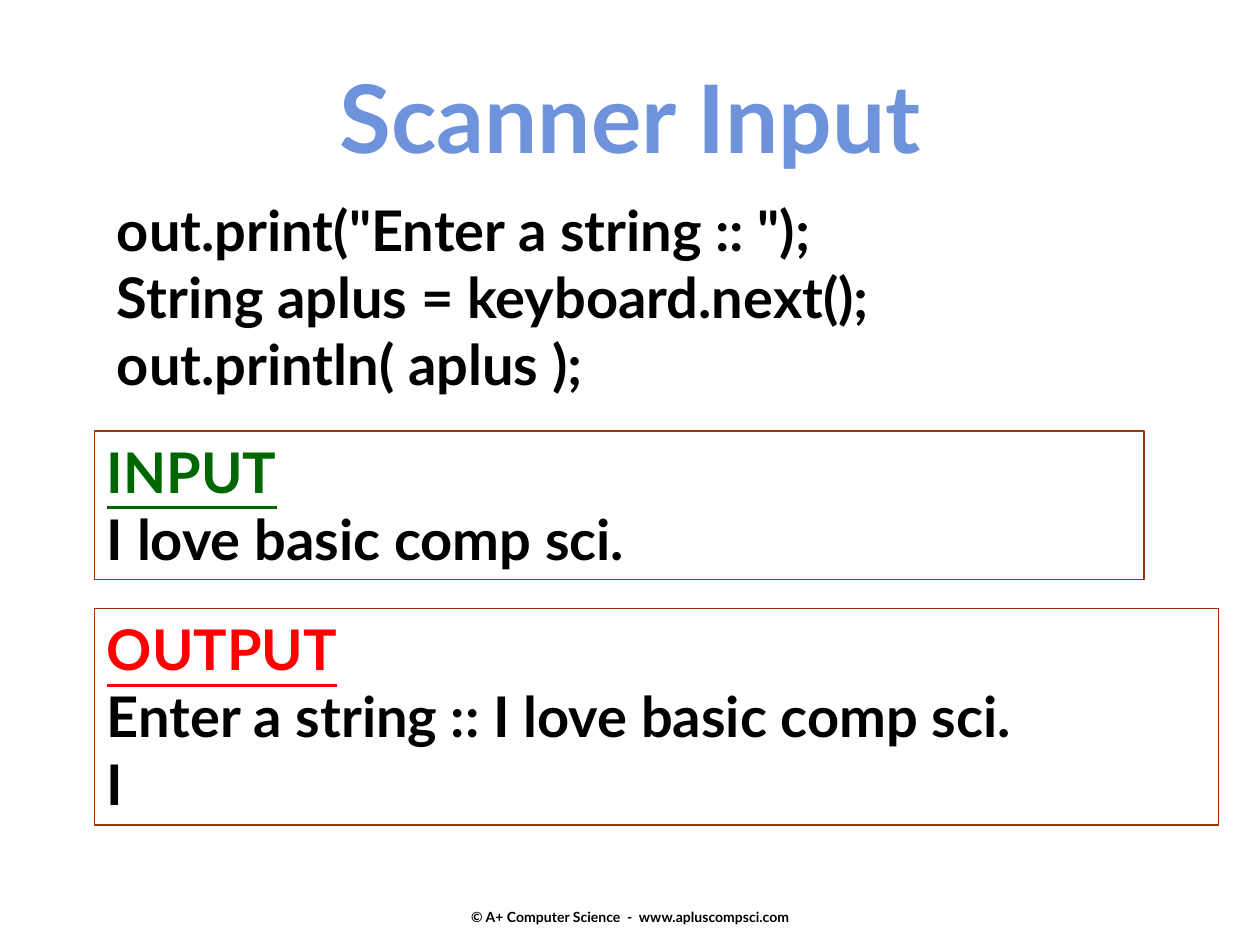
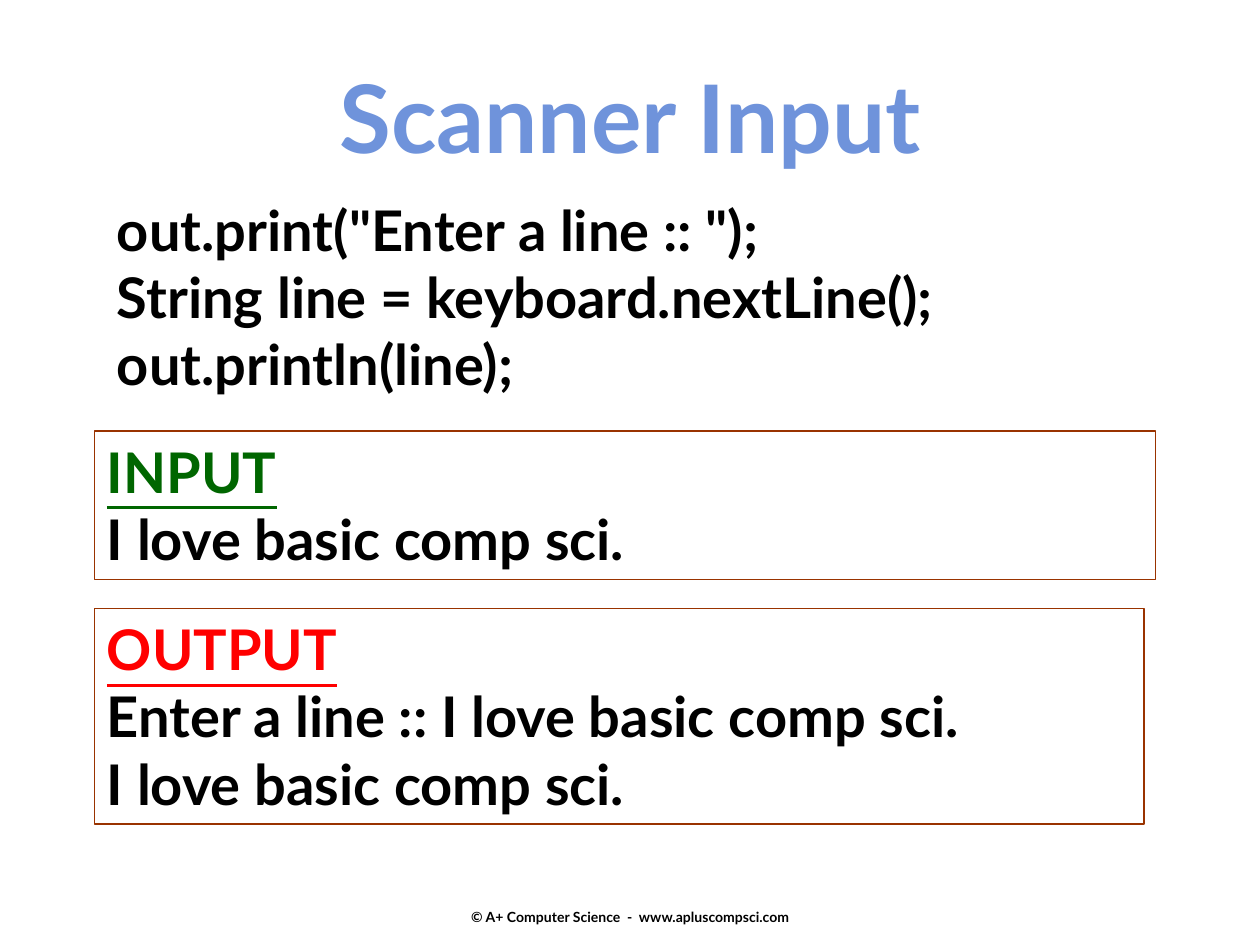
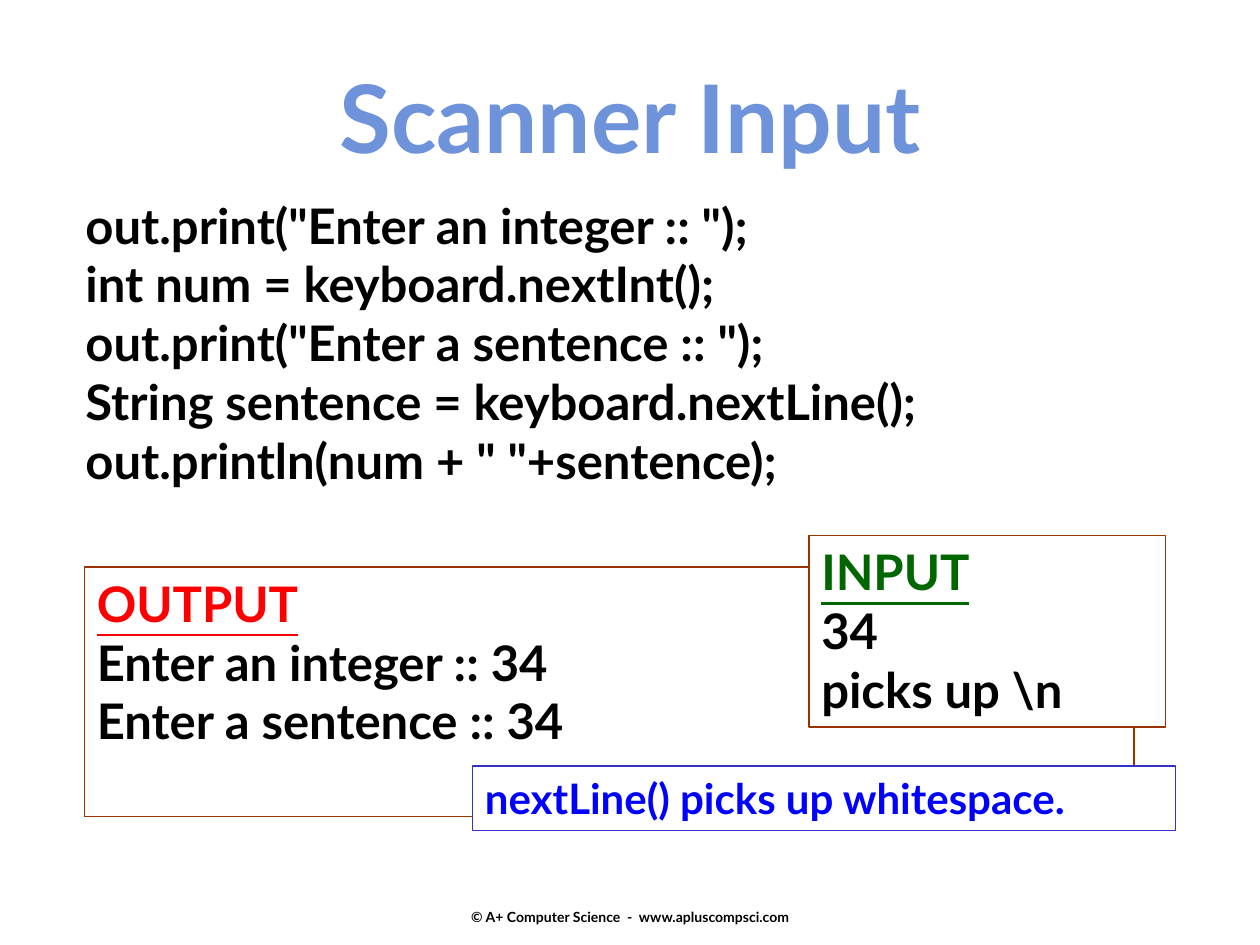
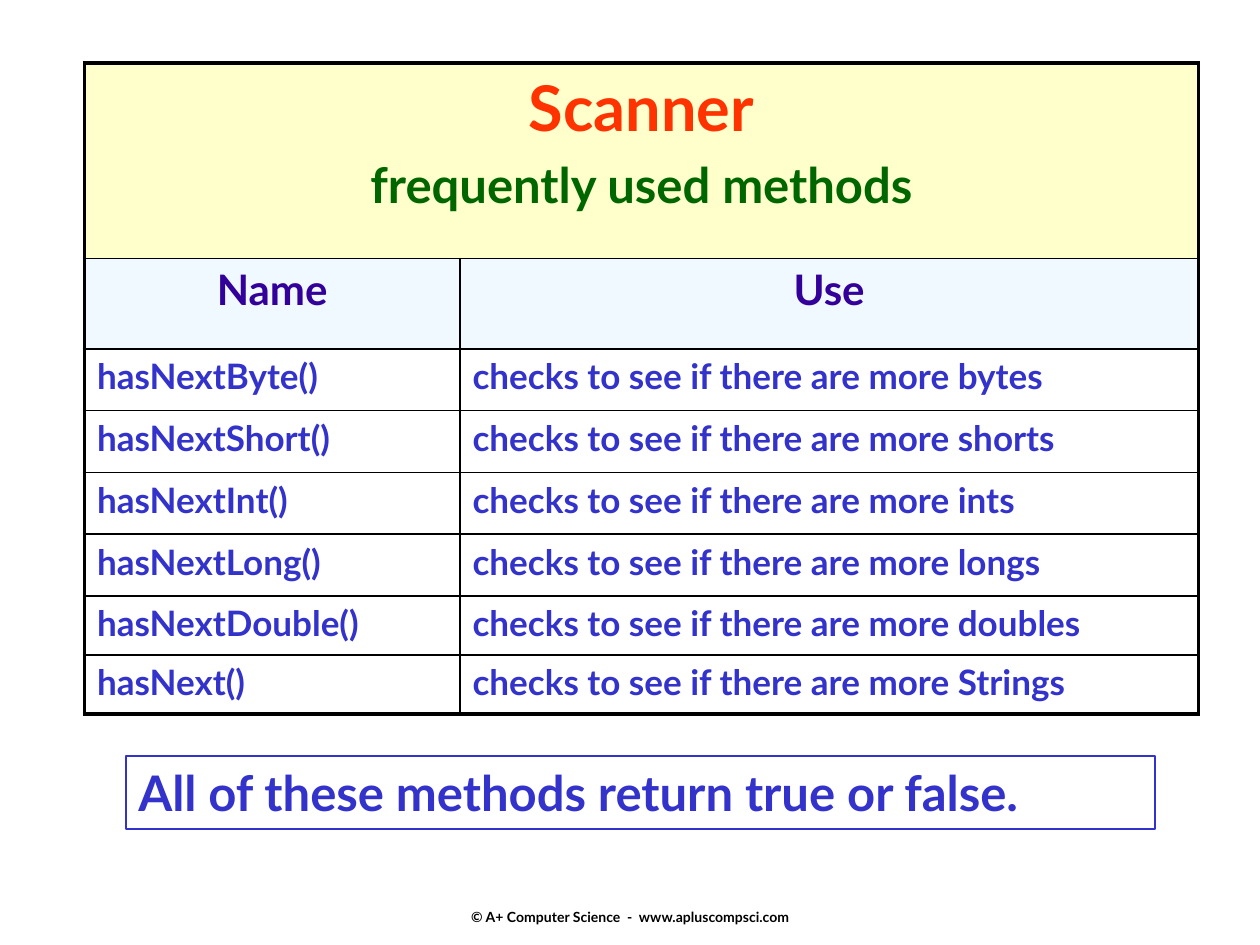
"""Builds four slides on reading input with Scanner."""
from lxml.etree import SubElement
from pptx import Presentation
from pptx.dml.color import RGBColor
from pptx.enum.shapes import MSO_SHAPE
from pptx.enum.text import MSO_ANCHOR, PP_ALIGN
from pptx.oxml.ns import qn
from pptx.util import Inches, Pt

FONT = "Lato"
BLACK, WHITE, BROWN, VIOLET = "000000", "FFFFFF", "993300", "3333CC"
RED, GREEN, BLUE, TITLE_BLUE = "FF0000", "006600", "0000FF", "6F93DB"
HEADING_COLOURS = {"INPUT": GREEN, "OUTPUT": RED}

TITLE = "Scanner Input"
FOOTER = "© A+ Computer Science  -  www.apluscompsci.com"

LESSONS = [
    {
        "size": 32,
        "code": ((0.83, 1.5, 8.58, 1.72), [
            'out.print("Enter a string :: ");',
            "String aplus = keyboard.next();",
            "out.println( aplus );",
        ]),
        "consoles": [
            ((0.75, 4.83, 8.92, 1.72), None,
             ["OUTPUT", "Enter a string :: I love basic comp sci.", "I"]),
            ((0.75, 3.42, 8.33, 1.18), None,
             ["INPUT", "I love basic comp sci."]),
        ],
    },
    {
        "size": 32,
        "code": ((0.83, 1.5, 8, 1.7), [
            'out.print("Enter a line :: ");',
            "String line = keyboard.nextLine();",
            "out.println(line);",
        ]),
        "consoles": [
            ((0.75, 4.83, 8.33, 1.71), None,
             ["OUTPUT", "Enter a line :: I love basic comp sci.",
              "I love basic comp sci."]),
            ((0.75, 3.42, 8.42, 1.18), None,
             ["INPUT", "I love basic comp sci."]),
        ],
    },
    {
        "size": 28,
        "code": ((0.58, 1.5, 9.25, 2.44), [
            'out.print("Enter an integer :: ");',
            "int num = keyboard.nextInt();",
            'out.print("Enter a sentence :: ");',
            "String sentence = keyboard.nextLine();",
            'out.println(num + " "+sentence);',
        ]),
        "consoles": [
            ((0.67, 4.5, 8.33, 1.98), None,
             ["OUTPUT", "Enter an integer :: 34", "Enter a sentence :: 34"]),
            ((6.42, 4.25, 2.83, 1.52), WHITE,
             ["INPUT", "34", "picks up \\n"]),
        ],
        "note": ((3.75, 6.08, 5.58, 0.51), "nextLine() picks up whitespace."),
    },
]

TABLE_HEADING = ["Scanner", "frequently used methods"]
COLUMN_NAMES = ["Name", "Use"]
METHODS = [
    ("hasNextByte()", "bytes"),
    ("hasNextShort()", "shorts"),
    ("hasNextInt()", "ints"),
    ("hasNextLong()", "longs"),
    ("hasNextDouble()", "doubles"),
    ("hasNext()", "Strings"),
]
USE = "checks to see if there are more {}"
COLUMN_WIDTHS = [2.98, 5.86]
ROW_HEIGHTS = [1.55, 0.72, 0.49, 0.49, 0.49, 0.49, 0.47, 0.47]
SUMMARY = "All of these methods return true or false."


def colour(code):
    return RGBColor.from_string(code)


def style(paragraph, size, code, underline=False, align=PP_ALIGN.LEFT):
    paragraph.alignment = align
    for run in paragraph.runs:
        run.font.name = FONT
        run.font.size = Pt(size)
        run.font.bold = True
        run.font.underline = underline
        run.font.color.rgb = colour(code)


def add_label(slide, place, text, size, code):
    label = slide.shapes.add_textbox(*map(Inches, place))
    frame = label.text_frame
    frame.word_wrap = True
    frame.text = text
    style(frame.paragraphs[0], size, code, align=PP_ALIGN.CENTER)
    return frame


def add_panel(slide, place, lines, size, code, fill=None, border=None, width=1):
    panel = slide.shapes.add_shape(MSO_SHAPE.RECTANGLE, *map(Inches, place))
    panel.shadow.inherit = False
    if fill:
        panel.fill.solid()
        panel.fill.fore_color.rgb = colour(fill)
    else:
        panel.fill.background()
    if border:
        panel.line.color.rgb = colour(border)
        panel.line.width = Pt(width)
    else:
        panel.line.fill.background()
    frame = panel.text_frame
    frame.word_wrap = True
    frame.vertical_anchor = MSO_ANCHOR.TOP
    frame.text = "\n".join(lines)
    for paragraph in frame.paragraphs:
        heading = HEADING_COLOURS.get(paragraph.text)
        style(paragraph, size, heading or code, underline=bool(heading))


def new_slide(deck):
    slide = deck.slides.add_slide(deck.slide_layouts[6])
    footer = add_label(slide, (3.42, 6.83, 3.17, 0.5), FOOTER, 8, BLACK)
    footer.word_wrap = False
    footer.vertical_anchor = MSO_ANCHOR.MIDDLE
    footer.margin_top, footer.margin_bottom = Inches(0.4), 0
    return slide


def add_lesson(deck, lesson):
    slide = new_slide(deck)
    size = lesson["size"]
    place, code_lines = lesson["code"]
    add_panel(slide, place, code_lines, size, BLACK, WHITE)
    for place, fill, lines in lesson["consoles"]:
        add_panel(slide, place, lines, size, BLACK, fill, BROWN)
    if "note" in lesson:
        place, text = lesson["note"]
        add_panel(slide, place, [text], 24, BLUE, WHITE, VIOLET, 0.75)
    add_label(slide, (0, 0.42, 10, 1.01), TITLE, 54, TITLE_BLUE)


def set_borders(cell, outer_sides):
    properties = cell._tc.get_or_add_tcPr()
    for side in "LRTB":
        width = Pt(2.25 if side in outer_sides else 1)
        line = SubElement(properties, qn(f"a:ln{side}"), w=str(width))
        solid = SubElement(line, qn("a:solidFill"))
        SubElement(solid, qn("a:srgbClr"), val=BLACK)


def set_fill(cell, code, alpha=100):
    cell.fill.solid()
    cell.fill.fore_color.rgb = colour(code)
    if alpha < 100:
        tint = cell._tc.tcPr.find(qn("a:solidFill")).find(qn("a:srgbClr"))
        SubElement(tint, qn("a:alpha"), val=str(alpha * 1000))


def add_method_table(slide):
    rows = [("\n".join(TABLE_HEADING), ""), COLUMN_NAMES]
    rows += [(name, USE.format(kind)) for name, kind in METHODS]
    place = (0.67, 0.5, sum(COLUMN_WIDTHS), sum(ROW_HEIGHTS))
    table = slide.shapes.add_table(len(rows), 2, *map(Inches, place)).table
    table.first_row = table.horz_banding = False
    for column, width in zip(table.columns, COLUMN_WIDTHS):
        column.width = Inches(width)
    for row, height in zip(table.rows, ROW_HEIGHTS):
        row.height = Inches(height)
    table.cell(0, 0).merge(table.cell(0, 1))

    for r, row in enumerate(rows):
        for c, text in enumerate(row):
            cell = table.cell(r, c)
            outer = "LR"[c]
            if r == 0:
                outer = "LRT"
            elif r == len(rows) - 1:
                outer += "B"
            set_borders(cell, outer)
            cell.text = text
            first = cell.text_frame.paragraphs[0]
            if r == 0:
                set_fill(cell, "FFFFCC")
                style(first, 36, "FF3300", align=PP_ALIGN.CENTER)
            elif r == 1:
                set_fill(cell, "E1F4FF", 50)
                style(first, 24, "330099", align=PP_ALIGN.CENTER)
            else:
                cell.fill.background()
                style(first, 20, VIOLET)

    subtitle = table.cell(0, 0).text_frame.paragraphs[1]
    style(subtitle, 28, GREEN, align=PP_ALIGN.CENTER)
    subtitle.space_before = Pt(6)


def main():
    deck = Presentation()
    deck.slide_width, deck.slide_height = Inches(10), Inches(7.5)
    for lesson in LESSONS:
        add_lesson(deck, lesson)
    methods_slide = new_slide(deck)
    add_method_table(methods_slide)
    add_panel(methods_slide, (1, 6, 8.17, 0.58), [SUMMARY], 28, VIOLET,
              border=VIOLET)
    deck.save("out.pptx")


if __name__ == "__main__":
    main()
